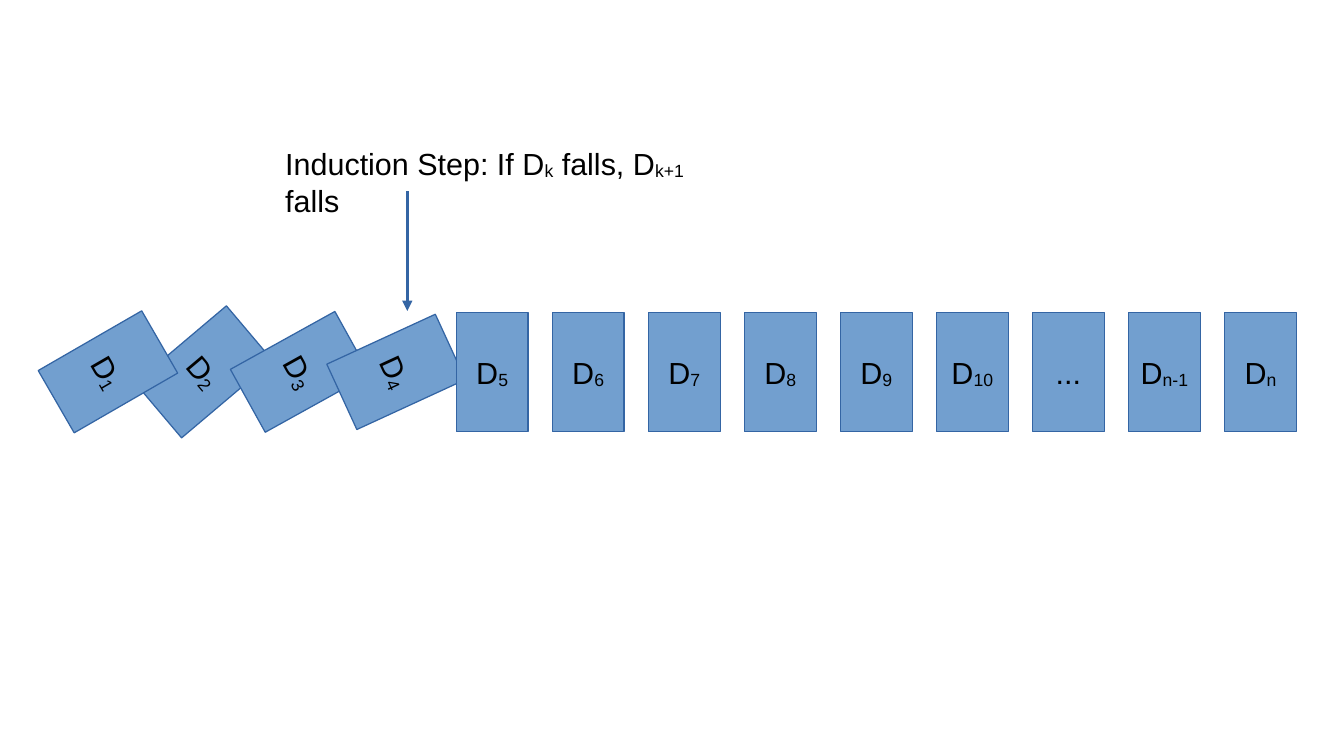
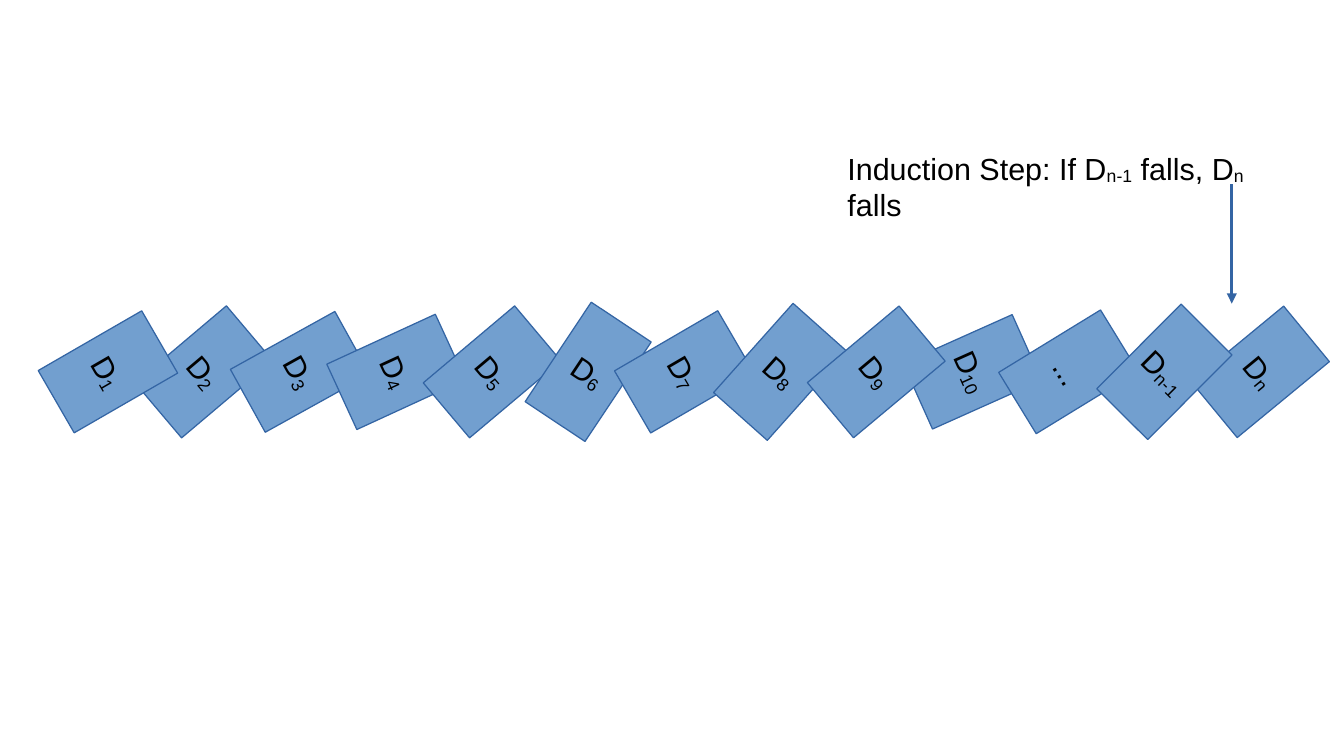
from dataclasses import dataclass

from lxml.etree import SubElement
from pptx import Presentation
from pptx.dml.color import RGBColor
from pptx.enum.shapes import MSO_CONNECTOR, MSO_SHAPE
from pptx.enum.text import MSO_ANCHOR, MSO_AUTO_SIZE, PP_ALIGN
from pptx.oxml.ns import qn
from pptx.util import Inches, Pt


@dataclass(frozen=True)
class Theme:
    fill: RGBColor = RGBColor(0x72, 0x9F, 0xCF)
    edge: RGBColor = RGBColor(0x34, 0x65, 0xA4)
    ink: RGBColor = RGBColor(0, 0, 0)
    font: str = "Arial"
    size: float = 18
    hair: float = 0
    sub: int = -8000


THEME = Theme()

# Row of tiles: left, top, width, height
ROW = (0.59, 2.56, 10.04, 0.98)
TILE = 0.59
LABELS = ["1", "2", "3", "4", "5", "6", "7", "8", "9", "10", "...", "n-1", "n"]
# Tiles from back to front
STACK = ["2", "3", "4", "n", "5", "6", "1", "10", "...", "n-1", "7", "8", "9"]

# Tilt of each fallen tile, in degrees
START = {"1": 60, "2": 49.8, "3": 61, "4": 65.3}
ALL = START | {
    "5": 49.9, "6": 33.6, "7": 59.8, "8": 41.7, "9": 50.1,
    "10": 65.9, "...": 58.5, "n-1": 44.9, "n": 50.5,
}


def write(para, parts):
    """Add runs that alternate between normal text and subscript."""
    for i, part in enumerate(parts):
        run = para.add_run()
        run.text = part
        run.font.name = THEME.font
        run.font.size = Pt(THEME.size)
        run.font.color.rgb = THEME.ink
        if i % 2:
            run.font._element.set("baseline", str(THEME.sub))


def add_tile(slide, box, label, tilt):
    tile = slide.shapes.add_shape(MSO_SHAPE.RECTANGLE, *map(Inches, box))
    tile.shadow.inherit = False
    tile.rotation = tilt
    tile.fill.solid()
    tile.fill.fore_color.rgb = THEME.fill
    tile.line.color.rgb = THEME.edge
    tile.line.width = Pt(THEME.hair)
    frame = tile.text_frame
    frame.word_wrap = False
    frame.vertical_anchor = MSO_ANCHOR.MIDDLE
    para = frame.paragraphs[0]
    para.alignment = PP_ALIGN.CENTER
    write(para, [label] if label == "..." else ["D", label])


def add_row(slide, box, tilts):
    left, top, width, height = box
    pitch = (width - TILE) / (len(LABELS) - 1)
    for label in STACK:
        x = left + LABELS.index(label) * pitch
        add_tile(slide, (x, top, TILE, height), label, tilts.get(label, 0))


def add_note(slide, box, first, second):
    note = slide.shapes.add_textbox(*map(Inches, box))
    frame = note.text_frame
    frame.word_wrap = False
    frame.auto_size = MSO_AUTO_SIZE.SHAPE_TO_FIT_TEXT
    write(frame.paragraphs[0],
          ["Induction Step: If D", first, " falls, D", second, " falls"])


def add_arrow(slide, x, top, length=0.98):
    ends = map(Inches, (x, top, x, top + length))
    arrow = slide.shapes.add_connector(MSO_CONNECTOR.STRAIGHT, *ends)
    arrow.line.color.rgb = THEME.edge
    arrow.line.width = Pt(THEME.hair)
    props = arrow._element.spPr
    SubElement(props.find(qn("a:ln")), qn("a:tailEnd"), type="triangle")
    SubElement(props, qn("a:effectLst"))


def add_step(deck, tilts, box, pair, tip):
    """One slide: the row, the note over it and the arrow between."""
    slide = deck.slides.add_slide(deck.slide_layouts[6])
    left, width = ROW[0], ROW[2]
    add_row(slide, (left, ROW[1], width + TILE - left, ROW[3]), tilts)
    add_note(slide, box, *pair)
    add_arrow(slide, *tip)


def main():
    deck = Presentation()
    deck.slide_width = Inches(11.02)
    deck.slide_height = Inches(6.2)
    add_step(deck, START, (2.24, 1.14, 3.98, 0.38), ("k", "k+1"), (3.34, 1.57))
    add_step(deck, ALL, (6.85, 1.18, 3.96, 0.38), ("n-1", "n"), (10.1, 1.51))
    deck.save("out.pptx")


if __name__ == "__main__":
    main()
